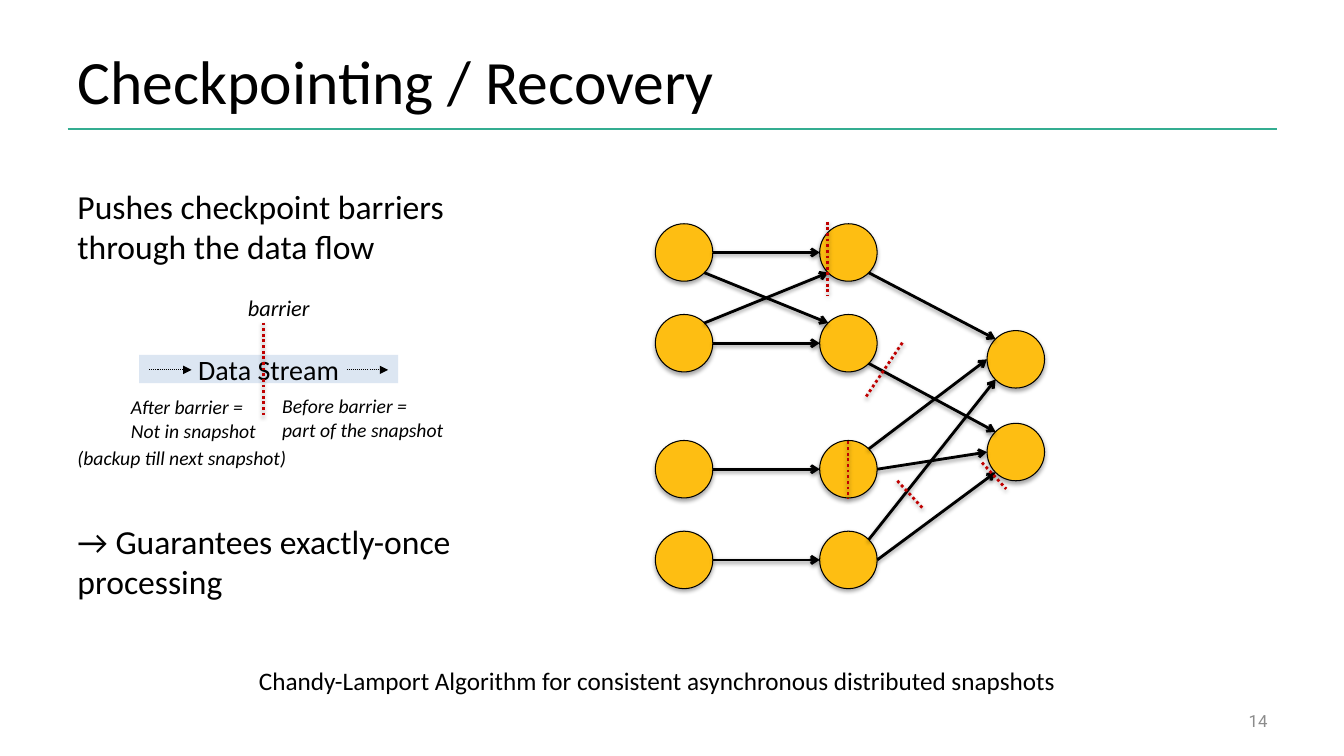
from lxml import etree
from pptx import Presentation
from pptx.dml.color import RGBColor
from pptx.enum import dml, shapes, text
from pptx.oxml import ns
from pptx.util import Inches, Pt

COLORS = {"ink": "000000", "rule": "34AD91", "node": "FEBE12",
          "barrier": "C00000", "stream": "DCE6F2", "number": "8C8C8C"}
COLORS = {name: RGBColor.from_string(value) for name, value in COLORS.items()}


def set_shadow(shape, distance=0, opacity=0):
    effects = etree.SubElement(shape._element.spPr, ns.qn("a:effectLst"))
    if distance:
        shadow = etree.SubElement(
            effects, ns.qn("a:outerShdw"), blurRad=str(Pt(3.1)), dist=str(Pt(distance)),
            dir="5400000", rotWithShape="0")
        color = etree.SubElement(shadow, ns.qn("a:srgbClr"), val=str(COLORS["ink"]))
        etree.SubElement(color, ns.qn("a:alpha"), val=str(opacity * 1000))


def draw_line(start, end, color, width=2, dotted=False, arrow=None, shadowed=True):
    line = page.shapes.add_connector(
        shapes.MSO_CONNECTOR.STRAIGHT, *[Inches(value) for value in (*start, *end)])
    line.line.color.rgb = COLORS[color]
    line.line.width = Pt(width)
    if dotted:
        line.line.dash_style = dml.MSO_LINE.ROUND_DOT
    if arrow:
        etree.SubElement(line.line._get_or_add_ln(), ns.qn("a:tailEnd"), type=arrow)
    if shadowed:
        set_shadow(line, 1.6, 38)
    else:
        set_shadow(line)


deck = Presentation()
deck.slide_width, deck.slide_height = Inches(13.33), Inches(7.5)
page = deck.slides.add_slide(deck.slide_layouts[5])

draw_line((0.67, 1.28), (12.67, 1.28), "rule", shadowed=False)

title = page.shapes.title
title.left, title.top, title.width, title.height = [Inches(v) for v in (0.67, 0.3, 12, 0.98)]
title.text_frame.text = "Checkpointing / Recovery"
title.text_frame.vertical_anchor = text.MSO_ANCHOR.MIDDLE
title_para = title.text_frame.paragraphs[0]
title_para.alignment = text.PP_ALIGN.LEFT
title_font = title_para.runs[0].font
title_font.name, title_font.size = "Calibri", Pt(44)
title_font.color.rgb = COLORS["ink"]

NODE_SIZE = 0.57
ROW_TOPS = (2.22, 3.12, 4.37, 5.27)
nodes = {f"source{i}": (6.5, top) for i, top in enumerate(ROW_TOPS, 1)}
nodes |= {f"worker{i}": (8.13, top) for i, top in enumerate(ROW_TOPS, 1)}
nodes |= {"sink1": (9.79, 3.28), "sink2": (9.79, 4.2)}
for left, top in nodes.values():
    node = page.shapes.add_shape(shapes.MSO_SHAPE.OVAL, Inches(left), Inches(top),
                                 Inches(NODE_SIZE), Inches(NODE_SIZE))
    node.fill.solid()
    node.fill.fore_color.rgb = COLORS["node"]
    node.line.color.rgb = COLORS["ink"]
    node.line.width = Pt(0.75)
    set_shadow(node, 1.8, 35)

RADIUS, DIAGONAL = NODE_SIZE / 2, 0.2
SITES = {"W": (-RADIUS, 0), "E": (RADIUS, 0), "NW": (-DIAGONAL, -DIAGONAL),
         "NE": (DIAGONAL, -DIAGONAL), "SW": (-DIAGONAL, DIAGONAL), "SE": (DIAGONAL, DIAGONAL)}
edges = [(f"source{i}", "E", f"worker{i}", "W") for i in range(1, 5)]
edges += [
    ("source1", "SE", "worker2", "NW"),
    ("source2", "NE", "worker1", "SW"),
    ("worker1", "SE", "sink1", "NW"),
    ("worker2", "SE", "sink2", "NW"),
    ("worker3", "NE", "sink1", "W"),
    ("worker3", "E", "sink2", "W"),
    ("worker4", "NE", "sink1", "SW"),
    ("worker4", "E", "sink2", "SW"),
]
for origin, exit_site, target, entry_site in edges:
    start, end = [
        [corner + RADIUS + shift for corner, shift in zip(nodes[name], SITES[site])]
        for name, site in ((origin, exit_site), (target, entry_site))]
    draw_line(start, end, "ink", arrow="arrow")

stream = page.shapes.add_shape(shapes.MSO_SHAPE.RECTANGLE, Inches(1.38), Inches(3.52),
                               Inches(2.57), Inches(0.28))
stream.fill.solid()
stream.fill.fore_color.rgb = COLORS["stream"]
stream.line.fill.background()
set_shadow(stream)
stream.text_frame.text = "Data Stream"
stream.text_frame.vertical_anchor = text.MSO_ANCHOR.MIDDLE
stream_para = stream.text_frame.paragraphs[0]
stream_para.alignment = text.PP_ALIGN.CENTER
stream_font = stream_para.runs[0].font
stream_font.name, stream_font.size = "Calibri", Pt(20)
stream_font.color.rgb = COLORS["ink"]

barriers = [
    ((8.21, 2.2), (8.21, 2.93)),
    ((8.95, 3.4), (8.58, 3.95)),
    ((8.41, 4.38), (8.41, 4.95)),
    ((8.9, 4.77), (9.15, 5.04)),
    ((9.74, 4.59), (9.98, 4.85)),
    ((2.61, 3.2), (2.61, 4.12)),
]
for start, end in barriers:
    draw_line(start, end, "barrier", dotted=True)
for left, right in ((1.48, 1.9), (3.44, 3.85)):
    draw_line((left, 3.67), (right, 3.67), "ink", 0.75, dotted=True, arrow="triangle",
              shadowed=False)

labels = [
    ("Pushes checkpoint barriers\vthrough the data flow", 0.67, 1.79, 3.87, 0.91, 24, False, False),
    ("barrier", 2.36, 2.87, 0.82, 0.37, 16, True, False),
    ("Before barrier =\npart of the snapshot", 2.7, 3.86, 1.82, 0.57, 14, True, False),
    ("After barrier =\nNot in snapshot", 1.2, 3.87, 1.46, 0.57, 14, True, False),
    ("(backup till next snapshot)", 0.67, 4.37, 2.3, 0.34, 14, True, False),
    ("→ Guarantees exactly-once processing", 0.67, 5.12, 4.91, 0.91, 24, False, True),
    ("Chandy-Lamport Algorithm for consistent asynchronous distributed snapshots",
     2.47, 6.55, 8.19, 0.4, 18, False, False),
]
for wording, left, top, width, height, size, italic, wrap in labels:
    box = page.shapes.add_textbox(Inches(left), Inches(top), Inches(width), Inches(height))
    box.text_frame.text = wording
    box.text_frame.word_wrap = wrap
    box.text_frame.auto_size = text.MSO_AUTO_SIZE.SHAPE_TO_FIT_TEXT
    for para in box.text_frame.paragraphs:
        for span in para.runs:
            span.font.name, span.font.size = "Calibri", Pt(size)
            span.font.italic = italic
            span.font.color.rgb = COLORS["ink"]

number = page.shapes.add_textbox(Inches(9.56), Inches(6.95), Inches(3.11), Inches(0.4))
number.text_frame.text = "14"
number.text_frame.word_wrap = True
number.text_frame.vertical_anchor = text.MSO_ANCHOR.MIDDLE
number_para = number.text_frame.paragraphs[0]
number_para.alignment = text.PP_ALIGN.RIGHT
number_font = number_para.runs[0].font
number_font.name, number_font.size = "Roboto", Pt(12)
number_font.color.rgb = COLORS["number"]

deck.save("out.pptx")
